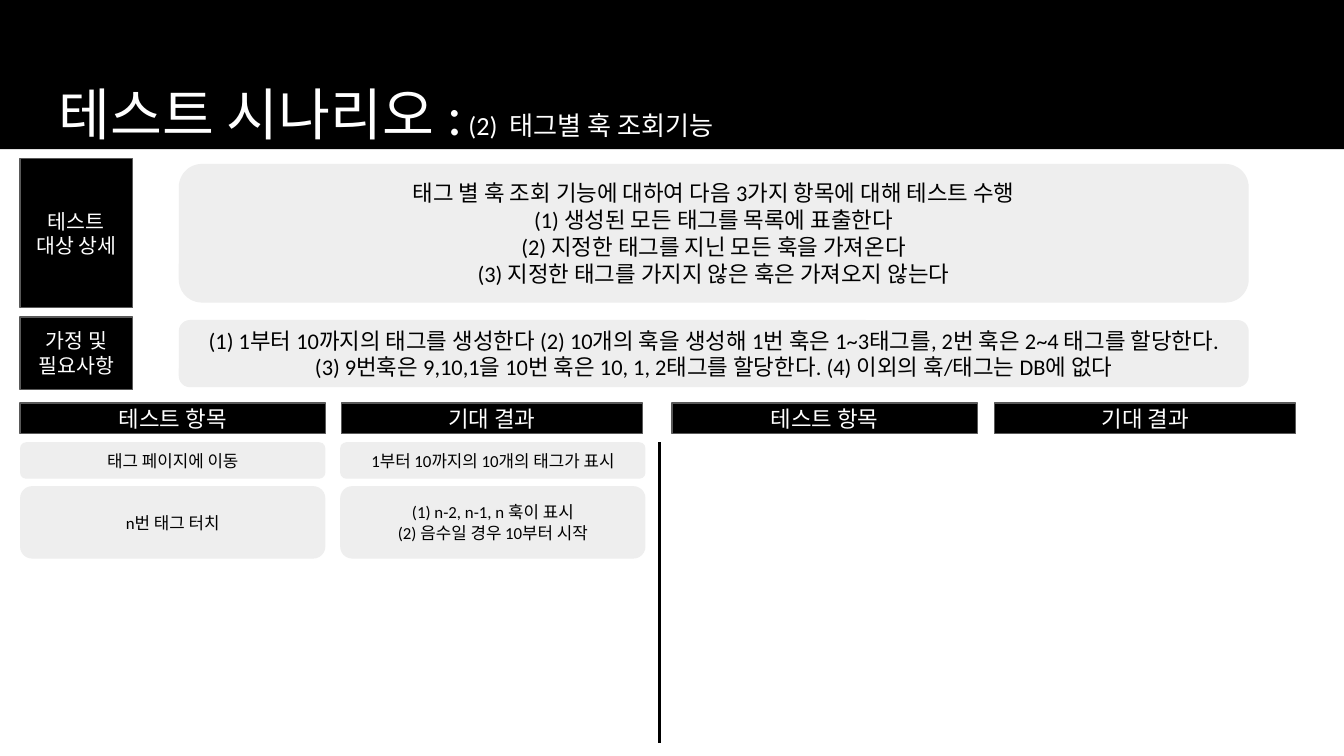
"""Builds the test scenario slide for looking up hooks by tag."""
from lxml import etree
from pptx import Presentation
from pptx import util as u
from pptx.dml import color
from pptx.enum import shapes, text
from pptx.oxml import ns

BLACK, WHITE, GREY, EDGE = "000000", "FFFFFF", "EEEEEE", "595959"


def rgb(code):
    """Turn a hex string into a colour."""
    return color.RGBColor.from_string(code)


class Board:
    """Holds the style and the current slide."""

    font = "Calibri"
    inset = u.Cm(0.25)

    def __init__(self, slide):
        """Keep the slide to draw on."""
        self.slide = slide

    def add_text(self, shape, paragraphs, ink, align, anchor):
        """Fill a shape with paragraphs, each a list of (wording, size) runs."""
        frame = shape.text_frame
        frame.word_wrap = True
        frame.vertical_anchor = anchor
        frame.margin_left = frame.margin_right = self.inset
        frame.margin_top = frame.margin_bottom = self.inset
        for index, parts in enumerate(paragraphs):
            paragraph = frame.add_paragraph() if index else frame.paragraphs[0]
            paragraph.alignment = align
            for wording, size in parts:
                run = paragraph.add_run()
                run.text = wording
                run.font.name = self.font
                run.font.size = u.Pt(size)
                run.font.color.rgb = rgb(ink)

    def box(self, kind, place, fill, edge=None):
        """Draw a filled shape, with a thin edge if one is given."""
        shape = self.slide.shapes.add_shape(kind, *map(u.Cm, place))
        shape.shadow.inherit = False
        shape.fill.solid()
        shape.fill.fore_color.rgb = rgb(fill)
        if edge:
            shape.line.color.rgb = rgb(edge)
            shape.line.width = u.Pt(0.75)
        else:
            shape.line.fill.background()
        return shape

    def centred(self, shape, lines, size, ink):
        """Put centred lines of one size in a shape."""
        self.add_text(shape, [[(line, size)] for line in lines], ink,
                      text.PP_ALIGN.CENTER, text.MSO_ANCHOR.MIDDLE)

    def label(self, place, wording, size):
        """Draw a black label with white wording."""
        shape = self.box(shapes.MSO_SHAPE.RECTANGLE, place, BLACK, EDGE)
        self.centred(shape, [wording], size, WHITE)

    def panel(self, place, lines, size):
        """Draw a rounded grey panel with black lines."""
        shape = self.box(shapes.MSO_SHAPE.ROUNDED_RECTANGLE, place, GREY)
        self.centred(shape, lines, size, BLACK)

    def title(self, place, parts):
        """Add the white title."""
        shape = self.slide.shapes.add_textbox(*map(u.Cm, place))
        self.add_text(shape, [parts], WHITE, text.PP_ALIGN.LEFT, text.MSO_ANCHOR.TOP)

    def divider(self, x, top, bottom):
        """Draw a vertical black line."""
        line = self.slide.shapes.add_connector(
            shapes.MSO_CONNECTOR.STRAIGHT, *map(u.Cm, (x, top, x, bottom)))
        line.line.color.rgb = rgb(BLACK)
        line.line.width = u.Pt(1.5)
        etree.SubElement(line._element.spPr, ns.qn("a:effectLst"))


def main():
    """Build and save the slide."""
    deck = Presentation()
    deck.slide_width, deck.slide_height = u.Cm(25.4), u.Cm(14.29)
    board = Board(deck.slides.add_slide(deck.slide_layouts[6]))

    board.box(shapes.MSO_SHAPE.RECTANGLE, (0, 0, 25.4, 2.82), BLACK)
    board.title((0.86, 1.24, 23.67, 1.6),
                [("테스트 시나리오 :", 30.2), (" (2)  태그별 훅 조회기능", 14)])

    left, item_width = 0.38, 5.77
    overview = [
        ("테스트 대상 상세", 3, 2.82, 3.1, 2.62,
         ["태그 별 훅 조회 기능에 대하여 다음 3가지 항목에 대해 테스트 수행",
          "(1) 생성된 모든 태그를 목록에 표출한다",
          "(2) 지정한 태그를 지닌 모든 훅을 가져온다",
          "(3) 지정한 태그를 가지지 않은 훅은 가져오지 않는다"]),
        ("가정 및 필요사항", 5.99, 1.37, 6.05, 1.27,
         ["(1) 1부터 10까지의 태그를 생성한다 (2) 10개의 훅을 생성해 1번 훅은 "
          "1~3태그를, 2번 훅은 2~4 태그를 할당한다. (3) 9번훅은 9,10,1을 10번 훅은 "
          "10, 1, 2태그를 할당한다. (4) 이외의 훅/태그는 DB에 없다"]),
    ]
    for heading, label_top, label_height, top, height, details in overview:
        board.label((left, label_top, 2.13, label_height), heading, 11)
        board.panel((3.38, top, 20.22, height), details, 12)

    for item_x, result_x in ((left, 6.45), (12.7, 18.8)):
        board.label((item_x, 7.62, item_width, 0.58), "테스트 항목", 12)
        board.label((result_x, 7.62, 5.69, 0.58), "기대 결과", 12)

    board.divider(12.47, 8.36, 14.05)

    cases = [
        (8.36, 0.69, ["태그 페이지에 이동"], ["1부터 10까지의 10개의 태그가 표시"]),
        (9.19, 1.37, ["n번 태그 터치"],
         ["(1) n-2, n-1, n 훅이 표시", "(2) 음수일 경우 10부터 시작"]),
    ]
    for top, height, item, result in cases:
        board.panel((6.43, top, item_width, height), result, 9)
        board.panel((left, top, item_width, height), item, 9)

    deck.save("out.pptx")


if __name__ == "__main__":
    main()
